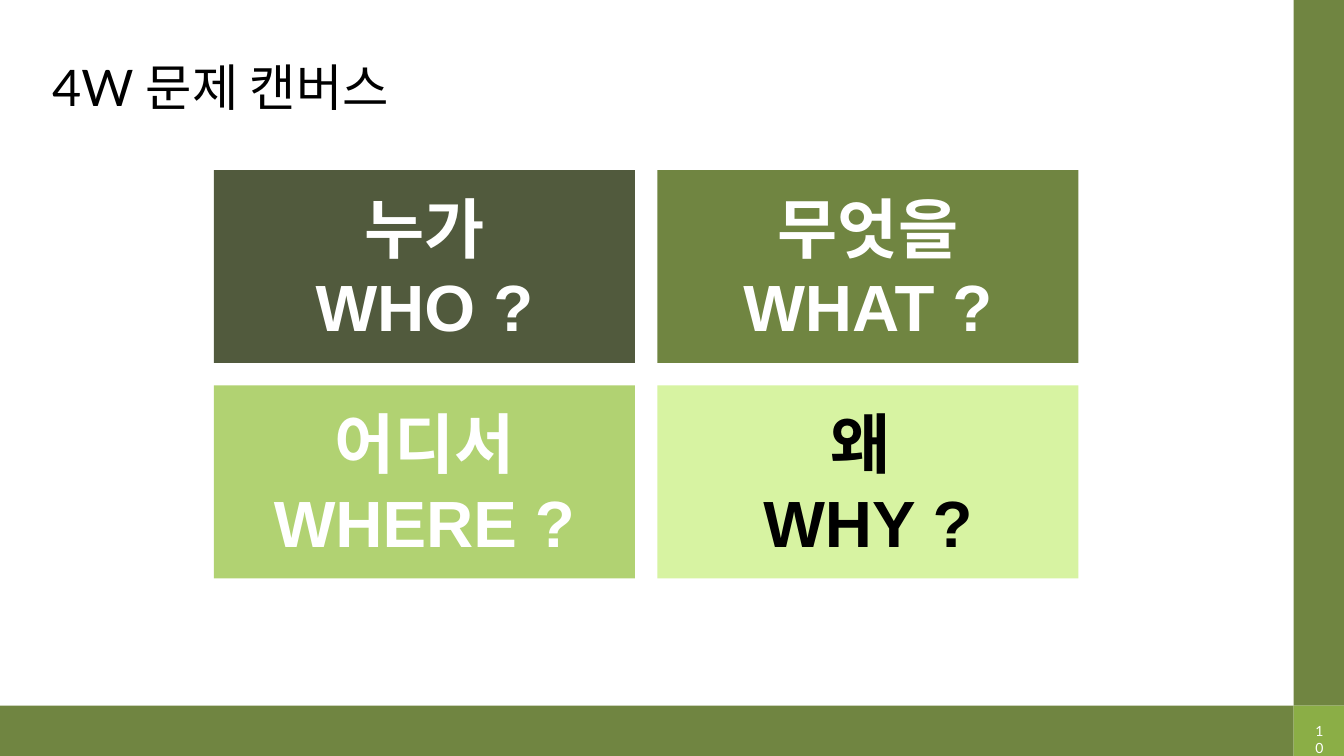
from pptx import Presentation
from pptx.dml.color import RGBColor
from pptx.enum.shapes import MSO_SHAPE
from pptx.enum.text import MSO_ANCHOR, PP_ALIGN
from pptx.util import Pt

WIDTH, HEIGHT, BAR = 960, 540, 36
TITLE = "4W 문제 캔버스"
PAGE = "10"
CARDS = [
    [("누가", "WHO ?", "515A3D", "FFFFFF"), ("무엇을", "WHAT ?", "708541", "FFFFFF")],
    [("어디서", "WHERE ?", "B1D272", "FFFFFF"), ("왜 ", "WHY ?", "D7F3A2", "000000")],
]
CARD_LEFT, CARD_TOP, CARD_W, CARD_H, GAP = 152.8, 121.5, 300.8, 137.8, 16
BARS = [
    (0, HEIGHT - BAR, WIDTH - BAR, BAR, "708541"),
    (WIDTH - BAR, 0, BAR, HEIGHT - BAR, "708541"),
    (WIDTH - BAR, HEIGHT - BAR, BAR, BAR, "8BAE46"),
]


def color(value):
    return RGBColor.from_string(value)


def add_rect(s, left, top, width, height, fill):
    sp = s.shapes.add_shape(MSO_SHAPE.RECTANGLE, Pt(left), Pt(top), Pt(width), Pt(height))
    sp.shadow.inherit = False
    sp.fill.solid()
    sp.fill.fore_color.rgb = color(fill)
    sp.line.fill.background()
    return sp


def write(tf, lines, size, font, ink, align, bold=False):
    tf.word_wrap = True
    for i, line in enumerate(lines):
        p = tf.add_paragraph() if i else tf.paragraphs[0]
        p.alignment = align
        r = p.add_run()
        r.text = line
        r.font.size = Pt(size)
        r.font.name = font
        r.font.bold = bold
        r.font.color.rgb = color(ink)


prs = Presentation()
prs.slide_width, prs.slide_height = Pt(WIDTH), Pt(HEIGHT)
s = prs.slides.add_slide(prs.slide_layouts[5])

title = s.shapes.title
title.left, title.top, title.width, title.height = Pt(30), Pt(17.3), Pt(427.7), Pt(94.3)
title.text_frame.vertical_anchor = MSO_ANCHOR.MIDDLE
write(title.text_frame, [TITLE], 36, "Lato", "000000", PP_ALIGN.LEFT)
title.text_frame.paragraphs[0].line_spacing = 0.9

for bar in BARS:
    add_rect(s, *bar)

page = s.shapes.add_textbox(Pt(937.4), Pt(516.2), Pt(10), Pt(12))
tf = page.text_frame
tf.margin_left = tf.margin_right = tf.margin_top = tf.margin_bottom = 0
write(tf, [PAGE], 10, "Lato", "FFFFFF", PP_ALIGN.CENTER)

for row, cards in enumerate(CARDS):
    for col, (korean, english, fill, ink) in enumerate(cards):
        left = CARD_LEFT + col * (CARD_W + GAP)
        top = CARD_TOP + row * (CARD_H + GAP)
        sp = add_rect(s, left, top, CARD_W, CARD_H, fill)
        sp.text_frame.vertical_anchor = MSO_ANCHOR.MIDDLE
        write(sp.text_frame, [korean, english], 46.7, "Arial", ink, PP_ALIGN.CENTER, True)

prs.save("out.pptx")
